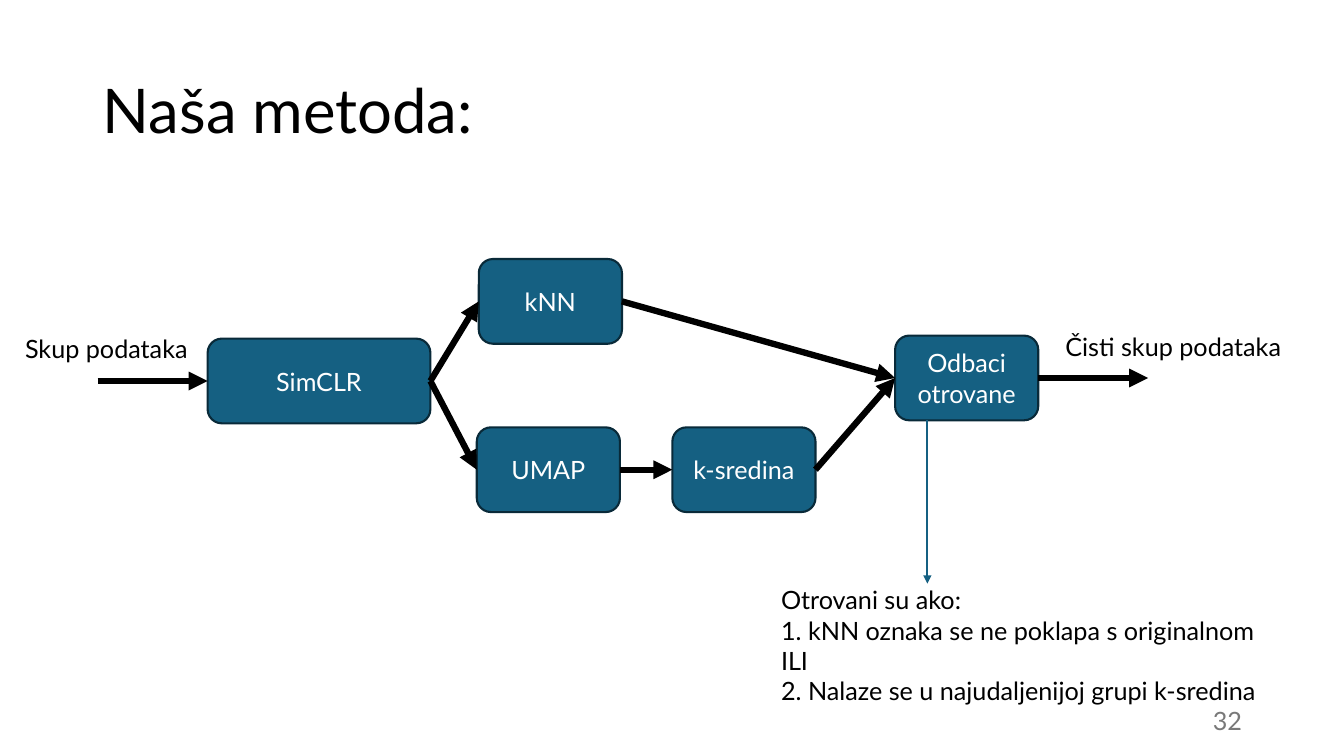
from lxml.etree import SubElement
from pptx import Presentation
from pptx.dml.color import RGBColor
from pptx.enum.shapes import MSO_CONNECTOR as Connector, MSO_SHAPE as Shape
from pptx.enum.text import MSO_ANCHOR as Anchor, MSO_AUTO_SIZE as AutoSize, PP_ALIGN as Align
from pptx.oxml.ns import qn
from pptx.util import Inches, Pt

# Grid: ten columns and ten rows to the inch
CELL = Inches(0.1)
COLUMNS, ROWS = 133.33, 75
BLUE, EDGE, BLACK, WHITE, GREY = "156082", "092A39", "000000", "FFFFFF", "797979"
RIGHT, LEFT = 3, 1

NODE_HEIGHT = 8.4
NODES = {  # text: column, row, width within the flow
    "SimCLR": (20.6, 7.9, 22.1),
    "kNN": (47.5, 0, 14.2),
    "UMAP": (47.3, 16.7, 14.2),
    "k-sredina": (66.7, 16.7, 14.2),
    "Odbaci otrovane": (88.8, 7.6, 14.2),
}
LINKS = [("SimCLR", "kNN"), ("SimCLR", "UMAP"), ("UMAP", "k-sredina"),
         ("kNN", "Odbaci otrovane"), ("k-sredina", "Odbaci otrovane")]
RULES = ["Otrovani su ako:", "1. kNN oznaka se ne poklapa s originalnom",
         "ILI", "2. Nalaze se u najudaljenijoj grupi k-sredina"]


def colour(value):
    return RGBColor.from_string(value)


def cells(*lengths):
    return [round(length * CELL) for length in lengths]


def write(frame, lines, size=18, ink=BLACK, align=Align.LEFT, spacing=1.0, **settings):
    """Fill a text frame with one paragraph per line."""
    for name, value in settings.items():
        setattr(frame, name, value)
    for index, line in enumerate(lines):
        para = frame.add_paragraph() if index else frame.paragraphs[0]
        para.alignment, para.line_spacing = align, spacing
        span = para.add_run()
        span.text = line
        for name, value in {"name": "Lato", "size": Pt(size)}.items():
            setattr(span.font, name, value)
        span.font.color.rgb = colour(ink)


def add_label(page, box, lines, **settings):
    label = page.shapes.add_textbox(*cells(*box))
    write(label.text_frame, lines, **{"word_wrap": False, **settings})


def add_node(page, box, text):
    node = page.shapes.add_shape(Shape.ROUNDED_RECTANGLE, *cells(*box))
    node.shadow.inherit = False
    node.fill.solid()
    node.fill.fore_color.rgb = colour(BLUE)
    node.line.color.rgb = colour(EDGE)
    node.line.width = Pt(1.5)
    write(node.text_frame, [text], ink=WHITE, align=Align.CENTER,
          word_wrap=True, vertical_anchor=Anchor.MIDDLE)
    return node


def add_arrow(page, start=(0, 0), end=(0, 0), source=None, target=None, ink=BLACK, width=4.5):
    """Draw an arrow; source and target are nodes joined at their right and left sides."""
    arrow = page.shapes.add_connector(Connector.STRAIGHT, *cells(*start, *end))
    if source is not None:
        arrow.begin_connect(source, RIGHT)
    if target is not None:
        arrow.end_connect(target, LEFT)
    arrow.line.color.rgb = colour(ink)
    arrow.line.width = Pt(width)
    SubElement(arrow.line._get_or_add_ln(), qn("a:tailEnd"), type="triangle")
    SubElement(arrow._element.spPr, qn("a:effectLst"))


def draw_title(page, box, text):
    title = page.shapes.title
    title.left, title.top, title.width, title.height = cells(*box)
    write(title.text_frame, [text], size=44, spacing=0.9, word_wrap=True,
          auto_size=AutoSize.NONE, vertical_anchor=Anchor.MIDDLE)


def draw_flow(page, left, top):
    # Steps and the arrows between them
    nodes = {text: add_node(page, (left + column, top + row, width, NODE_HEIGHT), text)
             for text, (column, row, width) in NODES.items()}
    for source, target in LINKS:
        add_arrow(page, source=nodes[source], target=nodes[target])

    # Input and output
    entry, leave = top + 12.1, top + 11.8
    add_arrow(page, start=(left + 9.7, entry), target=nodes["SimCLR"])
    add_arrow(page, end=(left + 113.9, leave), source=nodes["Odbaci otrovane"])
    add_label(page, (left + 1.5, entry - 5.2, 18.2, 4), ["Skup podataka"])
    add_label(page, (left + 104.7, leave - 5.1, 23.5, 4), ["Čisti skup podataka"])


def draw_rules(page, left, top, width, height):
    column = left + 15.5
    add_arrow(page, (column, top - 15.8), (column, top + 0.4), ink=BLUE, width=1.5)
    add_label(page, (left, top, width, height), RULES)


def draw_number(page, box, number):
    add_label(page, box, [number], ink=GREY, align=Align.RIGHT,
              word_wrap=True, vertical_anchor=Anchor.MIDDLE)


def main():
    deck = Presentation()
    deck.slide_width, deck.slide_height = cells(COLUMNS, ROWS)
    page = deck.slides.add_slide(deck.slide_layouts.get_by_name("Title Only"))
    draw_title(page, (9.2, 4, 115, 14.5), "Naša metoda:")
    draw_flow(page, 0, 25.7)
    draw_number(page, (94.2, 69.5, 30, 4), "32")
    draw_rules(page, 76.5, 57.5, 49.7, 13.1)
    deck.save("out.pptx")


if __name__ == "__main__":
    main()
